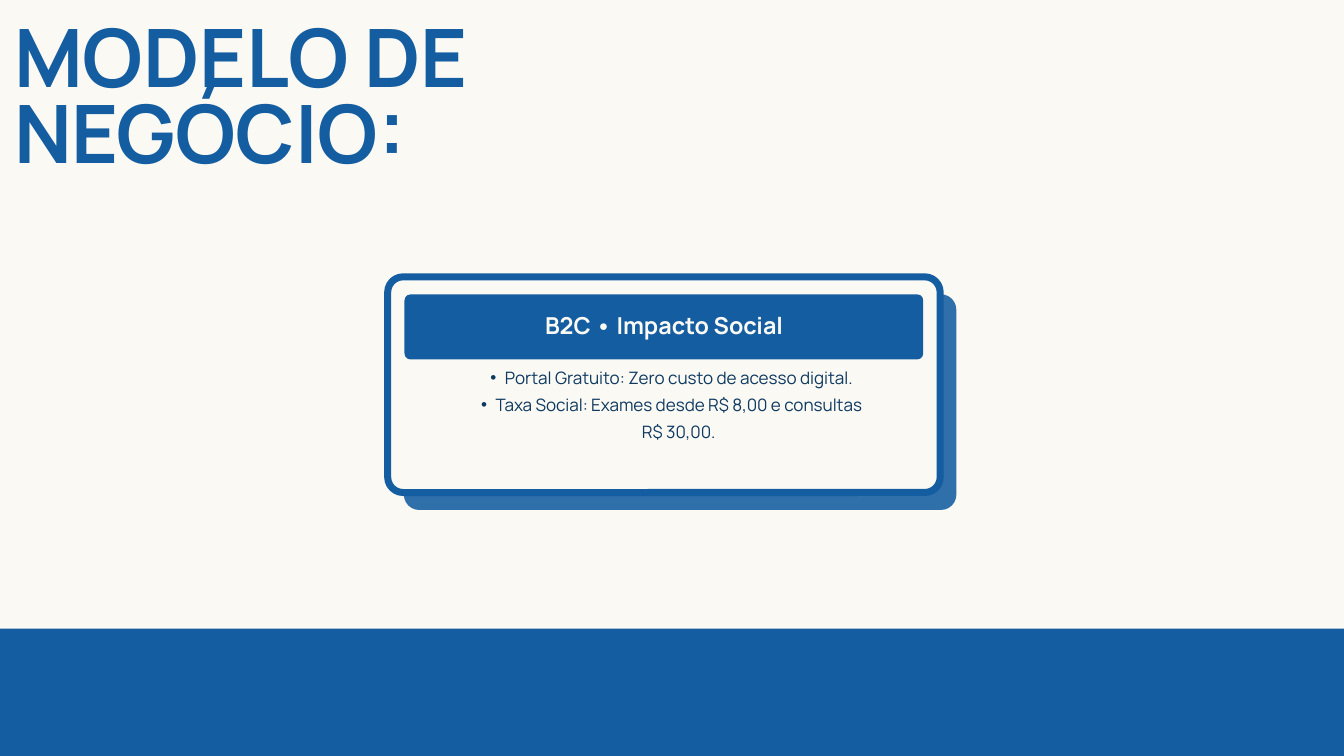
from lxml.etree import SubElement
from pptx import Presentation
from pptx.dml.color import RGBColor
from pptx.enum.shapes import MSO_SHAPE
from pptx.enum.text import PP_ALIGN
from pptx.oxml.ns import qn
from pptx.util import Pt

COLORS = {"blue": "145DA0", "cream": "FAF9F4", "navy": "0E3960"}
FONT = "Manrope"
SLIDE_W, SLIDE_H = 1440, 810
CARD_X, CARD_Y, CARD_W, CARD_H = 415.4, 296.6, 592, 231.1
SHADOW_DX, SHADOW_DY = 17.3, 18.7
FOOTER_Y = 673.6
BENEFITS = [
    "Portal Gratuito: Zero custo de acesso digital.",
    "Taxa Social: Exames desde R$ 8,00 e consultas R$ 30,00.",
]


def rgb(name):
    return RGBColor.from_string(COLORS[name])


def add_panel(s, x, y, w, h, fill, radius=0, line=None, opacity=None):
    kind = MSO_SHAPE.ROUNDED_RECTANGLE if radius else MSO_SHAPE.RECTANGLE
    sp = s.shapes.add_shape(kind, Pt(x), Pt(y), Pt(w), Pt(h))
    sp.shadow.inherit = False
    if radius:
        sp.adjustments[0] = radius / min(w, h)
    sp.fill.solid()
    sp.fill.fore_color.rgb = rgb(fill)
    if opacity:
        color = sp.fill._xPr.find(qn("a:solidFill"))[0]
        SubElement(color, qn("a:alpha"), val=str(opacity * 1000))
    if line:
        sp.line.color.rgb = rgb(line)
        sp.line.width = Pt(7.5)
    else:
        sp.line.fill.background()
    return sp


def set_bullet(p):
    p.level = 1
    pPr = p._p.get_or_add_pPr()
    pPr.set("marL", str(Pt(31)))
    pPr.set("indent", str(Pt(-15.5)))
    SubElement(pPr, qn("a:buFont"), typeface="Arial")
    SubElement(pPr, qn("a:buChar"), char="•")


def add_text(s, x, y, w, h, lines, size, color, spacing,
             bold=False, align=PP_ALIGN.CENTER, bullets=False):
    tf = s.shapes.add_textbox(Pt(x), Pt(y), Pt(w), Pt(h)).text_frame
    tf.word_wrap = True
    tf.margin_left = tf.margin_right = tf.margin_top = tf.margin_bottom = 0
    for i, line in enumerate(lines):
        p = tf.add_paragraph() if i else tf.paragraphs[0]
        p.alignment = align
        p.line_spacing = Pt(spacing)
        if bullets:
            set_bullet(p)
        r = p.add_run()
        r.text = line
        r.font.name = FONT
        r.font.size = Pt(size)
        r.font.bold = bold
        r.font.color.rgb = rgb(color)


def add_card(s):
    add_panel(s, CARD_X + SHADOW_DX, CARD_Y + SHADOW_DY, CARD_W, CARD_H,
              "blue", radius=16.5, opacity=88)
    add_panel(s, CARD_X, CARD_Y, CARD_W, CARD_H, "cream", radius=16.5, line="blue")
    add_text(s, 498.2, 385.9, 427, 143.3, BENEFITS, 18.25, "navy", 29.2, bullets=True)
    add_panel(s, 433.4, 315.4, 555.8, 69.8, "blue", radius=6.5)
    add_text(s, 517.7, 335.4, 387.4, 57.6, ["B2C • Impacto Social"],
             25, "cream", 28, bold=True)


def main():
    prs = Presentation()
    prs.slide_width, prs.slide_height = Pt(SLIDE_W), Pt(SLIDE_H)
    s = prs.slides.add_slide(prs.slide_layouts[6])
    s.background.fill.solid()
    s.background.fill.fore_color.rgb = rgb("cream")
    add_text(s, 15.1, 28.8, 541.4, 174.2, ["MODELO DE NEGÓCIO:"],
             86.25, "blue", 81.9, bold=True, align=PP_ALIGN.LEFT)
    add_card(s)
    add_panel(s, 0, FOOTER_Y, SLIDE_W, SLIDE_H - FOOTER_Y, "blue")
    prs.save("out.pptx")


if __name__ == "__main__":
    main()
